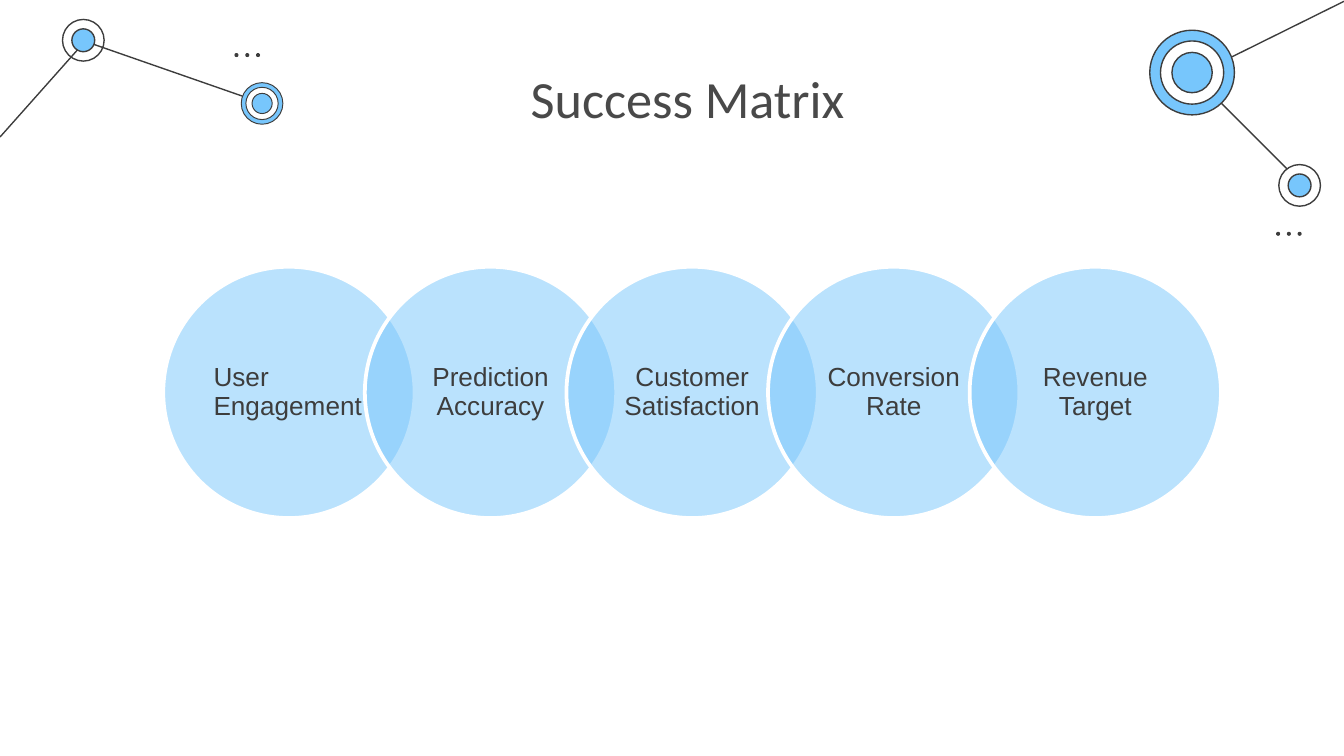
from dataclasses import dataclass
from typing import Optional

from lxml import etree
from pptx import Presentation
from pptx.dml.color import RGBColor
from pptx.enum.shapes import MSO_CONNECTOR, MSO_SHAPE
from pptx.enum.text import MSO_ANCHOR, MSO_AUTO_SIZE, PP_ALIGN
from pptx.oxml.ns import qn
from pptx.util import Inches, Pt

OVAL = MSO_SHAPE.OVAL
STRAIGHT = MSO_CONNECTOR.STRAIGHT
LEFT, CENTER = PP_ALIGN.LEFT, PP_ALIGN.CENTER
TOP, MIDDLE = MSO_ANCHOR.TOP, MSO_ANCHOR.MIDDLE
NO_AUTOFIT = MSO_AUTO_SIZE.NONE

BLUE = RGBColor(0x77, 0xC6, 0xFC)
WHITE = RGBColor(0xFF, 0xFF, 0xFF)
DARK = RGBColor(0x3D, 0x3D, 0x3D)
TITLE_GRAY = RGBColor(0x49, 0x49, 0x49)

SLIDE_WIDTH = 10
SLIDE_HEIGHT = SLIDE_WIDTH * 9 / 16
TITLE_ONLY_LAYOUT = 5
CIRCLE_DIAMETER = 1.87
CIRCLE_PITCH = 1.5
FIRST_CENTER_X, CENTER_Y = 2.15, 2.92
LABEL_SIZE = 1.32
DOT_DIAMETER, DOT_PITCH = 0.03, 0.08


@dataclass(frozen=True)
class Link:
    start: tuple[float, float]
    end: tuple[float, float]


@dataclass(frozen=True)
class Ring:
    diameter: float
    fill: Optional[RGBColor]


@dataclass(frozen=True)
class Target:
    x: float
    y: float
    rings: tuple[Ring, ...]
    line_width: float = 0.75


@dataclass(frozen=True)
class Stage:
    text: str
    align: PP_ALIGN = CENTER


LINKS = (
    Link((9.67, 1.35), (8.87, 0.55)),
    Link((0.64, 0.31), (1.96, 0.77)),
    Link((0, 1.02), (0.64, 0.3)),
    Link((10, 0.01), (8.91, 0.55)),
)
TARGETS = (
    Target(0.62, 0.3, (Ring(0.31, None), Ring(0.17, BLUE))),
    Target(1.95, 0.77, (Ring(0.31, BLUE), Ring(0.24, WHITE), Ring(0.15, BLUE)), 0.5),
    Target(8.87, 0.54, (Ring(0.63, BLUE), Ring(0.47, WHITE), Ring(0.3, BLUE))),
    Target(9.67, 1.38, (Ring(0.31, WHITE), Ring(0.17, BLUE))),
)
DOT_ROWS = ((1.84, 0.41), (9.59, 1.74))
STAGES = (
    Stage("User Engagement", LEFT),
    Stage("Prediction Accuracy"),
    Stage("Customer Satisfaction"),
    Stage("Conversion Rate"),
    Stage("Revenue Target"),
)


def place(shape, left: float, top: float, width: float, height: float) -> None:
    shape.left, shape.top = Inches(left), Inches(top)
    shape.width, shape.height = Inches(width), Inches(height)


def write_text(shape, text: str, *, font: str, size: float, color: RGBColor,
               align: PP_ALIGN = CENTER, anchor: MSO_ANCHOR = TOP,
               margin_y: float = 0.1, line_spacing: float = 1.0) -> None:
    frame = shape.text_frame
    frame.word_wrap = True
    frame.auto_size = NO_AUTOFIT
    frame.vertical_anchor = anchor
    frame.margin_left = frame.margin_right = Inches(0.1)
    frame.margin_top = frame.margin_bottom = Inches(margin_y)
    paragraph = frame.paragraphs[0]
    paragraph.alignment = align
    paragraph.line_spacing = line_spacing
    run = paragraph.add_run()
    run.text = text
    run.font.name = font
    run.font.size = Pt(size)
    run.font.color.rgb = color


def draw_circle(slide, x: float, y: float, diameter: float, *,
                fill: Optional[RGBColor], line: Optional[RGBColor] = None,
                line_width: float = 0.75, opacity: int = 100) -> None:
    radius = diameter / 2
    shape = slide.shapes.add_shape(OVAL, Inches(x - radius), Inches(y - radius),
                                   Inches(diameter), Inches(diameter))
    shape.shadow.inherit = False
    if fill is None:
        shape.fill.background()
    else:
        shape.fill.solid()
        shape.fill.fore_color.rgb = fill
    if line is None:
        shape.line.fill.background()
    else:
        shape.line.color.rgb = line
        shape.line.width = Pt(line_width)
    if opacity < 100:
        color = shape._element.spPr.find(qn("a:solidFill")).find(qn("a:srgbClr"))
        etree.SubElement(color, qn("a:alpha")).set("val", str(opacity * 1000))


def draw_link(slide, link: Link) -> None:
    connector = slide.shapes.add_connector(
        STRAIGHT, *(Inches(value) for value in link.start + link.end))
    connector.line.color.rgb = DARK
    connector.line.width = Pt(0.75)
    etree.SubElement(connector._element.spPr, qn("a:effectLst"))


def draw_target(slide, target: Target) -> None:
    for ring in target.rings:
        draw_circle(slide, target.x, target.y, ring.diameter, fill=ring.fill,
                    line=DARK, line_width=target.line_width)


def draw_dots(slide, x: float, y: float) -> None:
    for step in (-1, 0, 1):
        draw_circle(slide, x + step * DOT_PITCH, y, DOT_DIAMETER, fill=DARK)


def draw_stage(slide, stage: Stage, x: float) -> None:
    draw_circle(slide, x, CENTER_Y, CIRCLE_DIAMETER, fill=BLUE, line=WHITE,
                line_width=2, opacity=50)
    label = slide.shapes.add_textbox(0, 0, 0, 0)
    place(label, x - LABEL_SIZE / 2, CENTER_Y - LABEL_SIZE / 2, LABEL_SIZE, LABEL_SIZE)
    write_text(label, stage.text, font="Arial", size=14, color=DARK,
               align=stage.align, anchor=MIDDLE, margin_y=0.02, line_spacing=0.9)


def main() -> None:
    presentation = Presentation()
    presentation.slide_width = Inches(SLIDE_WIDTH)
    presentation.slide_height = Inches(SLIDE_HEIGHT)
    slide = presentation.slides.add_slide(presentation.slide_layouts[TITLE_ONLY_LAYOUT])
    title = slide.shapes.title
    place(title, 1.83, 0.39, 6.57, 0.65)
    write_text(title, "Success Matrix", font="Calibri", size=28, color=TITLE_GRAY)
    for link in LINKS:
        draw_link(slide, link)
    for target in TARGETS:
        draw_target(slide, target)
    for x, y in DOT_ROWS:
        draw_dots(slide, x, y)
    for index, stage in enumerate(STAGES):
        draw_stage(slide, stage, FIRST_CENTER_X + index * CIRCLE_PITCH)
    presentation.save("out.pptx")


if __name__ == "__main__":
    main()
